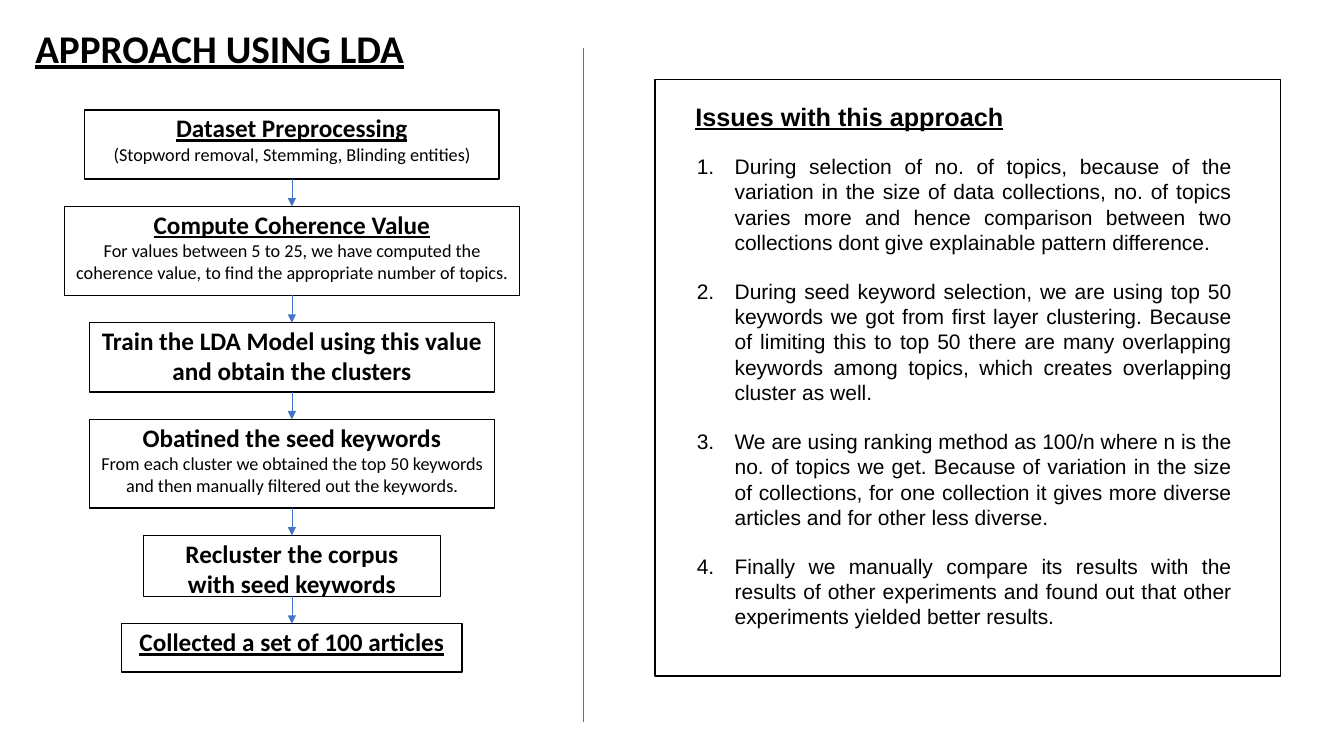
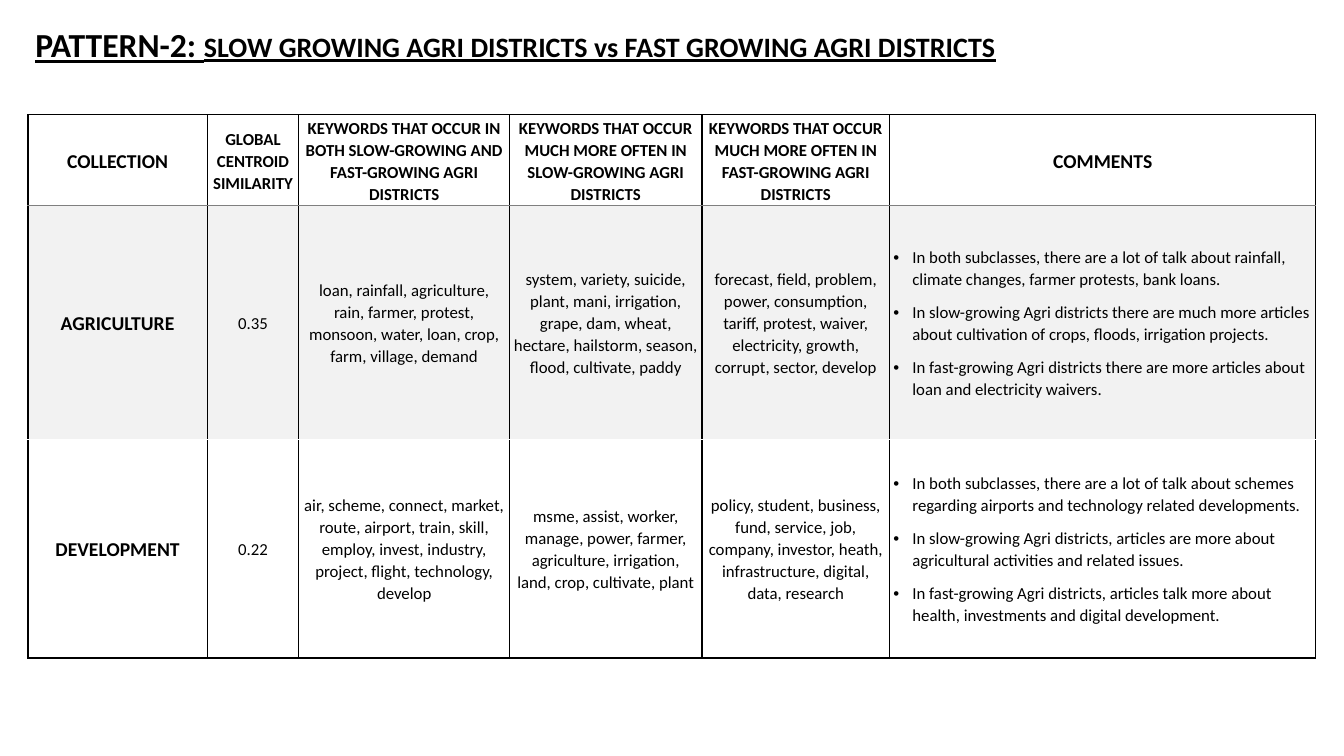
"""Build two slides on topic modelling: the LDA approach and a table of district patterns."""
from lxml import etree
from pptx import Presentation
from pptx.dml.color import RGBColor
from pptx.enum.shapes import MSO_CONNECTOR, MSO_SHAPE
from pptx.enum.text import MSO_ANCHOR, MSO_AUTO_SIZE, PP_ALIGN
from pptx.oxml.ns import qn
from pptx.util import Pt

LEFT, CENTER, JUSTIFY = PP_ALIGN.LEFT, PP_ALIGN.CENTER, PP_ALIGN.JUSTIFY
TOP, MIDDLE = MSO_ANCHOR.TOP, MSO_ANCHOR.MIDDLE
NO_FIT = MSO_AUTO_SIZE.NONE
RECTANGLE, STRAIGHT = MSO_SHAPE.RECTANGLE, MSO_CONNECTOR.STRAIGHT

COLORS = {"ink": "000000", "paper": "FFFFFF", "band": "F2F2F2", "rule": "7F7F7F", "accent": "4472C4"}
NUMBER = ("buAutoNum", {"type": "arabicPeriod"})
BULLET = ("buChar", {"char": "•"})
NO_MARK = ("buNone", {})

FLOW_CENTER, FLOW_TOP, FLOW_GAP = 208.5, 78.5, 19.5
STEPS = [
    (296, 49.5, 5, True, "Dataset Preprocessing", "(Stopword removal, Stemming, Blinding entities)"),
    (325, 63.5, 5, True, "Compute Coherence Value",
     "For values between 5 to 25, we have computed the coherence value, "
     "to find the appropriate number of topics."),
    (289.5, 49.5, 5, False, "Train the LDA Model using this value and obtain the clusters", ""),
    (289.5, 63.5, 5, False, "Obatined the seed keywords",
     "From each cluster we obtained the top 50 keywords and then manually filtered out the keywords."),
    (212, 43.5, 16, False, "Recluster the corpus with seed keywords", ""),
    (243, 34.5, 5, True, "Collected a set of 100 articles", ""),
]
ISSUES = [
    "During selection of no. of topics, because of the variation in the size of data collections, "
    "no. of topics varies more and hence comparison between two collections dont give explainable "
    "pattern difference.",
    "During seed keyword selection, we are using top 50 keywords we got from first layer clustering. "
    "Because of limiting this to top 50 there are many overlapping keywords among topics, which "
    "creates overlapping cluster as well.",
    "We are using ranking method as 100/n where n is the no. of topics we get. Because of variation "
    "in the size of collections, for one collection it gives more diverse articles and for other "
    "less diverse.",
    "Finally we manually compare its results with the results of other experiments and found out "
    "that other experiments yielded better results.",
]
COLUMN_WIDTHS = [128, 65.5, 150.5, 137.5, 134, 304.5]
ROW_HEIGHTS = [65, 167, 156]
PATTERNS = [
    ["COLLECTION", "GLOBAL CENTROID SIMILARITY",
     "KEYWORDS THAT OCCUR IN BOTH SLOW-GROWING AND FAST-GROWING AGRI DISTRICTS",
     "KEYWORDS THAT OCCUR MUCH MORE OFTEN IN SLOW-GROWING AGRI DISTRICTS",
     "KEYWORDS THAT OCCUR MUCH MORE OFTEN IN FAST-GROWING AGRI DISTRICTS", "COMMENTS"],
    ["AGRICULTURE", "0.35",
     "loan, rainfall, agriculture, rain, farmer, protest, monsoon, water, loan, crop, farm, village, demand",
     "system, variety, suicide, plant, mani, irrigation, grape, dam, wheat, hectare, hailstorm, season, "
     "flood, cultivate, paddy",
     "forecast, field, problem, power, consumption, tariff, protest, waiver, electricity, growth, "
     "corrupt, sector, develop",
     ["In both subclasses, there are a lot of talk about rainfall, climate changes, farmer protests, "
      "bank loans.",
      "In slow-growing Agri districts there are much more articles about cultivation of crops, floods, "
      "irrigation projects.",
      "In fast-growing Agri districts there are more articles about loan and electricity waivers."]],
    ["DEVELOPMENT", "0.22",
     "air, scheme, connect, market, route, airport, train, skill, employ, invest, industry, project, "
     "flight, technology, develop",
     "msme, assist, worker, manage, power, farmer, agriculture, irrigation, land, crop, cultivate, plant",
     "policy, student, business, fund, service, job, company, investor, heath, infrastructure, digital, "
     "data, research",
     ["In both subclasses, there are a lot of talk about schemes regarding airports and technology "
      "related developments.",
      "In slow-growing Agri districts, articles are more about agricultural activities and related issues.",
      "In fast-growing Agri districts, articles talk more about health, investments and digital "
      "development."]],
]


def assign(target, values):
    for name, value in values.items():
        setattr(target, name, value)


def color(name):
    return RGBColor.from_string(COLORS[name])


class SlideWriter:
    def __init__(self):
        self.deck = Presentation()
        assign(self.deck, {"slide_width": Pt(960), "slide_height": Pt(540)})
        self.page = None

    def new_page(self, layout):
        self.page = self.deck.slides.add_slide(self.deck.slide_layouts[layout])

    def place(self, box, left, top, width, height):
        assign(box, {"left": Pt(left), "top": Pt(top), "width": Pt(width), "height": Pt(height)})
        assign(box.text_frame, {"word_wrap": True, "auto_size": NO_FIT, "vertical_anchor": TOP})

    def paragraph(self, frame, spans, align=CENTER, before=0, spacing=1, mark=None, margin=0, hanging=0):
        para = frame.add_paragraph() if frame.text else frame.paragraphs[0]
        if mark:
            props = para._p.get_or_add_pPr()
            props.set("marL", str(Pt(margin)))
            props.set("indent", str(Pt(-hanging)))
            etree.SubElement(props, qn("a:buFont")).set("typeface", "Arial")
            etree.SubElement(props, qn("a:" + mark[0]), mark[1])
        assign(para, {"alignment": align, "space_before": Pt(before), "space_after": Pt(0),
                      "line_spacing": float(spacing)})
        for text, size, look in spans:
            span = para.add_run()
            span.text = text
            assign(span.font, {"name": "Calibri", "size": Pt(size), "bold": False, "underline": False, **look})
            span.font.color.rgb = color("ink")

    def title(self, spans, width, height):
        box = self.page.shapes.title
        self.place(box, 18, 13.7, width, height)
        look = {"bold": True, "underline": True}
        self.paragraph(box.text_frame, [(text, size, look) for text, size in spans], LEFT)

    def numbered_list(self, heading, items, left, top, width, height):
        box = self.page.placeholders[1]
        self.place(box, left, top, width, height)
        frame = box.text_frame
        assign(frame, {"margin_top": Pt(7.2), "margin_bottom": Pt(7.2)})
        look = {"name": "Arial", "bold": True, "underline": True}
        self.paragraph(frame, [(heading, 18, look)], LEFT, mark=NO_MARK, margin=10)
        for index, item in enumerate(items):
            self.paragraph(frame, [(item, 15, {"name": "Arial"})], JUSTIFY, before=17.2 if index else 16,
                           mark=NUMBER, margin=38, hanging=27)

    def rectangle(self, left, top, width, height, fill=None):
        box = self.page.shapes.add_shape(RECTANGLE, Pt(left), Pt(top), Pt(width), Pt(height))
        box.shadow.inherit = False
        if fill:
            box.fill.solid()
            box.fill.fore_color.rgb = color(fill)
        else:
            box.fill.background()
        box.line.color.rgb = color("ink")
        box.line.width = Pt(1)
        return box

    def step(self, top, width, height, inset, underlined, heading, detail):
        place = (FLOW_CENTER - width / 2, top, width, height)
        box = self.rectangle(*place, fill="paper")
        self.place(box, *place)
        frame = box.text_frame
        assign(frame, {"margin_left": Pt(inset), "margin_right": Pt(inset),
                       "margin_top": Pt(2), "margin_bottom": Pt(0)})
        self.paragraph(frame, [(heading, 18, {"bold": True, "underline": underlined})])
        if detail:
            self.paragraph(frame, [(detail, 13, {})])
        return box

    def line(self, start_x, start_y, end_x, end_y):
        connector = self.page.shapes.add_connector(STRAIGHT, Pt(start_x), Pt(start_y), Pt(end_x), Pt(end_y))
        connector.line.color.rgb = color("accent")
        connector.line.width = Pt(0.5)
        etree.SubElement(connector._element.spPr, qn("a:effectLst"))
        return connector

    def arrow(self, source, target):
        connector = self.line(0, 0, 0, 0)
        connector.begin_connect(source, 2)
        connector.end_connect(target, 0)
        etree.SubElement(connector.line._get_or_add_ln(), qn("a:tailEnd")).set("type", "triangle")

    def flow(self, steps):
        top, previous = FLOW_TOP, None
        for width, height, *content in steps:
            box = self.step(top, width, height, *content)
            if previous:
                self.arrow(previous, box)
            top, previous = top + height + FLOW_GAP, box

    def cell_borders(self, cell, edges):
        props = cell._tc.get_or_add_tcPr()
        for side, name in edges.items():
            border = etree.SubElement(props, qn("a:ln" + side), {"w": str(Pt(1))})
            fill = etree.SubElement(border, qn("a:solidFill"))
            etree.SubElement(fill, qn("a:srgbClr")).set("val", COLORS[name])

    def cell(self, cell, content, row, column):
        sides = {"L": "ink", "R": "ink"}
        edges = [{"T": "ink", "B": "rule"}, {"T": "rule"}, {"B": "ink"}][row]
        self.cell_borders(cell, {**sides, **edges})
        cell.fill.solid()
        cell.fill.fore_color.rgb = color("band" if row == 1 else "paper")
        inset = Pt(0 if column == 1 else 2.8)
        assign(cell, {"vertical_anchor": MIDDLE, "margin_left": inset, "margin_right": inset,
                      "margin_top": Pt(0.7), "margin_bottom": Pt(0)})
        if isinstance(content, list):
            for index, item in enumerate(content):
                self.paragraph(cell.text_frame, [(item, 12, {})], LEFT, before=8 if index else 0,
                               spacing=1.07, mark=BULLET, margin=13.5, hanging=13.5)
        else:
            size = 14 if column == 0 or (row == 0 and column == 5) else 12
            look = {"bold": row == 0 or column == 0}
            self.paragraph(cell.text_frame, [(content, size, look)], spacing=1.07)

    def table(self, rows, left, top):
        frame = self.page.shapes.add_table(len(rows), len(COLUMN_WIDTHS), Pt(left), Pt(top),
                                           Pt(sum(COLUMN_WIDTHS)), Pt(sum(ROW_HEIGHTS)))
        grid = frame.table
        assign(grid, {"first_row": False, "horz_banding": False})
        for column, width in zip(grid.columns, COLUMN_WIDTHS):
            column.width = Pt(width)
        for row, height in zip(grid.rows, ROW_HEIGHTS):
            row.height = Pt(height)
        for row, contents in enumerate(rows):
            for column, content in enumerate(contents):
                self.cell(grid.cell(row, column), content, row, column)


def main():
    writer = SlideWriter()

    writer.new_page(1)
    writer.title([("APPROACH USING LDA", 28)], 281, 41)
    writer.numbered_list("Issues with this approach", ISSUES, 479.5, 65, 407.5, 403)
    writer.rectangle(468, 57, 446.5, 426)
    writer.line(417, 34, 417, 516)
    writer.flow(STEPS)

    writer.new_page(5)
    writer.title([("PATTERN-2: ", 24),
                  ("SLOW GROWING AGRI DISTRICTS vs FAST GROWING AGRI DISTRICTS", 20)], 770, 36)
    writer.table(PATTERNS, 20, 82)

    writer.deck.save("out.pptx")


if __name__ == "__main__":
    main()
